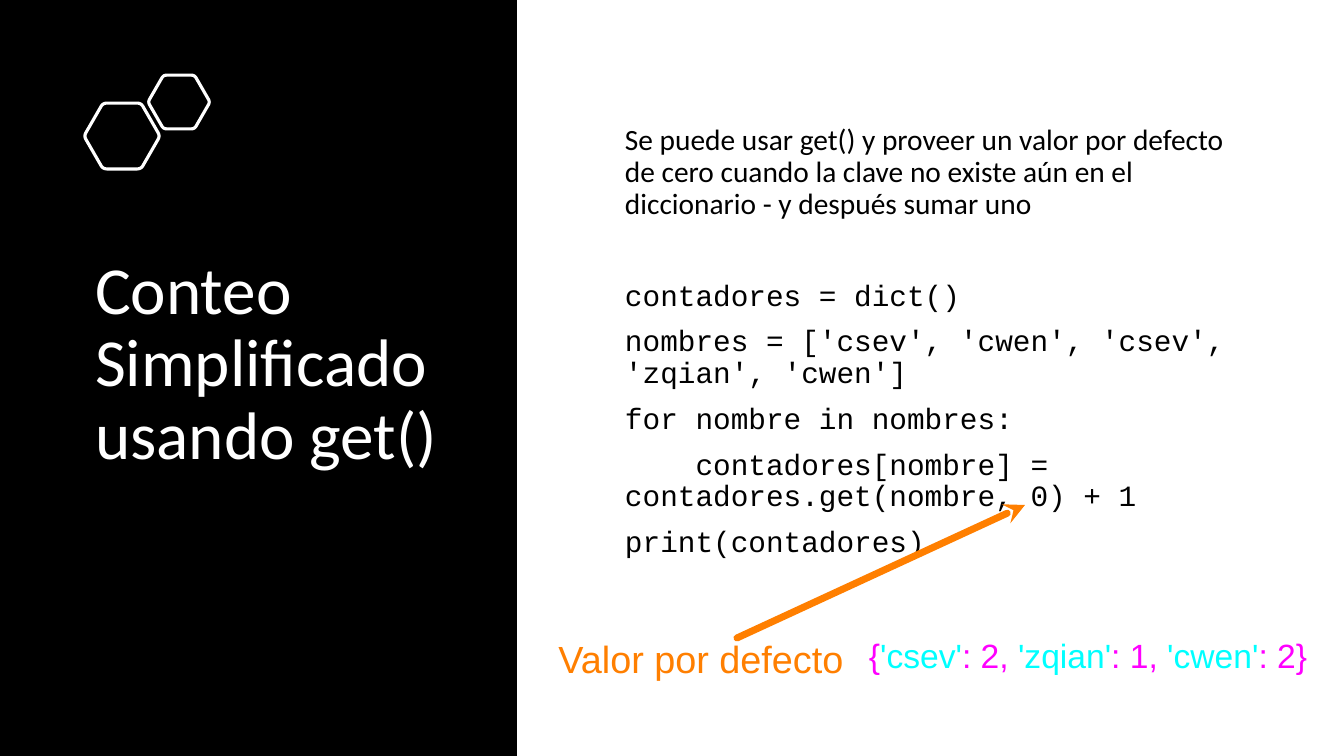
"""Builds the slide on simplified counting with get()."""
from dataclasses import dataclass
from math import cos, pi, sin

from lxml import etree
from pptx import Presentation
from pptx.dml.color import RGBColor
from pptx.enum.shapes import MSO_CONNECTOR, MSO_SHAPE
from pptx.enum.text import MSO_ANCHOR, PP_ALIGN
from pptx.oxml.ns import qn
from pptx.util import Pt

RECTANGLE = MSO_SHAPE.RECTANGLE
STRAIGHT = MSO_CONNECTOR.STRAIGHT
MIDDLE = MSO_ANCHOR.MIDDLE
LEFT, CENTER = PP_ALIGN.LEFT, PP_ALIGN.CENTER
EMU_PER_PX = 914400 / 100.8


@dataclass(frozen=True)
class Theme:
    black: str = "000000"
    white: str = "FFFFFF"
    orange: str = "FF7F00"
    magenta: str = "FF00FF"
    cyan: str = "00FFFF"
    heading_font: str = "Calibri"
    code_font: str = "Courier New"
    label_font: str = "Arial"
    title_size: int = 48
    label_size: int = 27
    output_size: int = 24
    body_size: int = 21
    outline: float = 2.25
    arrow: int = 5
    paragraph_gap: int = 10
    section_gap: int = 43


def px(length):
    return round(length * EMU_PER_PX)


def color(value):
    return RGBColor.from_string(value)


class SlideBuilder:
    def __init__(self, theme):
        self.theme = theme
        self.presentation = Presentation()
        self.presentation.slide_width = px(1344)
        self.presentation.slide_height = px(756)
        self.slide = self.presentation.slides.add_slide(self.presentation.slide_layouts[6])

    def panel(self, box, fill):
        shape = self.slide.shapes.add_shape(RECTANGLE, *map(px, box))
        shape.shadow.inherit = False
        shape.fill.solid()
        shape.fill.fore_color.rgb = color(fill)
        shape.line.fill.background()

    def hexagon(self, center_x, center_y, radius, line_color):
        corners = [(center_x + radius * cos(k * pi / 3), center_y + radius * sin(k * pi / 3))
                   for k in range(6)]
        cut, steps, units = 0.1, 6, 100
        points = []
        for k, corner in enumerate(corners):
            before, after = corners[k - 1], corners[(k + 1) % 6]
            for step in range(steps + 1):
                t = step / steps
                points.append(tuple(
                    round(units * (c + cut * ((1 - t) ** 2 * (b - c) + t ** 2 * (a - c))))
                    for b, c, a in zip(before, corner, after)))
        builder = self.slide.shapes.build_freeform(*points[0], scale=EMU_PER_PX / units)
        builder.add_line_segments(points[1:], close=True)
        shape = builder.convert_to_shape()
        shape.shadow.inherit = False
        shape.fill.background()
        shape.line.color.rgb = color(line_color)
        shape.line.width = Pt(self.theme.outline)

    def text(self, box, paragraphs, size, align=LEFT, spacing=1.0, inset=0, gaps=()):
        """Each paragraph is a list of (text, font name, colour) spans."""
        frame = self.slide.shapes.add_textbox(*map(px, box)).text_frame
        frame.word_wrap = True
        frame.vertical_anchor = MIDDLE
        frame.margin_left = frame.margin_right = px(inset)
        frame.margin_top = frame.margin_bottom = px(inset / 2)
        for index, spans in enumerate(paragraphs):
            paragraph = frame.add_paragraph() if index else frame.paragraphs[0]
            paragraph.alignment = align
            paragraph.line_spacing = spacing
            if index:
                paragraph.space_before = Pt(gaps[index - 1])
            for content, font_name, font_color in spans:
                run = paragraph.add_run()
                run.text = content
                run.font.name = font_name
                run.font.size = Pt(size)
                run.font.color.rgb = color(font_color)

    def arrow(self, start, end, line_color):
        connector = self.slide.shapes.add_connector(STRAIGHT, *map(px, start + end))
        connector.line.color.rgb = color(line_color)
        connector.line.width = Pt(self.theme.arrow)
        properties = connector.element.spPr
        line = properties.find(qn("a:ln"))
        line.set("cap", "rnd")
        etree.SubElement(line, qn("a:round"))
        etree.SubElement(line, qn("a:tailEnd"), type="stealth")
        etree.SubElement(properties, qn("a:effectLst"))


def main():
    theme = Theme()
    builder = SlideBuilder(theme)
    builder.panel((0, 0, 517, 756), theme.black)
    for center_x, center_y, radius in ((122, 136, 38), (179, 102, 31)):
        builder.hexagon(center_x, center_y, radius, theme.white)

    title = [("Conteo Simplificado usando get()", theme.heading_font, theme.white)]
    builder.text((85, 129, 395, 472), [title], theme.title_size, spacing=0.9, inset=10)

    explanation = ("Se puede usar get() y proveer un valor por defecto de cero cuando "
                   "la clave no existe aún en el diccionario - y después sumar uno")
    code = (
        "contadores = dict()",
        "nombres = ['csev', 'cwen', 'csev', 'zqian', 'cwen']",
        "for nombre in nombres:",
        "    contadores[nombre] = contadores.get(nombre, 0) + 1",
        "print(contadores)",
    )
    body = [[(explanation, theme.heading_font, theme.black)]]
    body += [[(line, theme.code_font, theme.black)] for line in code]
    gaps = [theme.section_gap] + [theme.paragraph_gap] * (len(code) - 1)
    builder.text((615, 129, 630, 426), body, theme.body_size, spacing=0.9, inset=10, gaps=gaps)

    label = [("Valor por defecto", theme.label_font, theme.orange)]
    builder.text((556, 630, 290, 57), [label], theme.label_size, CENTER)
    builder.arrow((737, 638), (1025, 505), theme.orange)

    pieces = ("{", "'csev'", ": 2, ", "'zqian'", ": 1,", " 'cwen'", ": 2}")
    output = [(piece, theme.label_font, (theme.magenta, theme.cyan)[index % 2])
              for index, piece in enumerate(pieces)]
    builder.text((838, 627, 500, 57), [output], theme.output_size, CENTER)
    builder.presentation.save("out.pptx")


if __name__ == "__main__":
    main()
